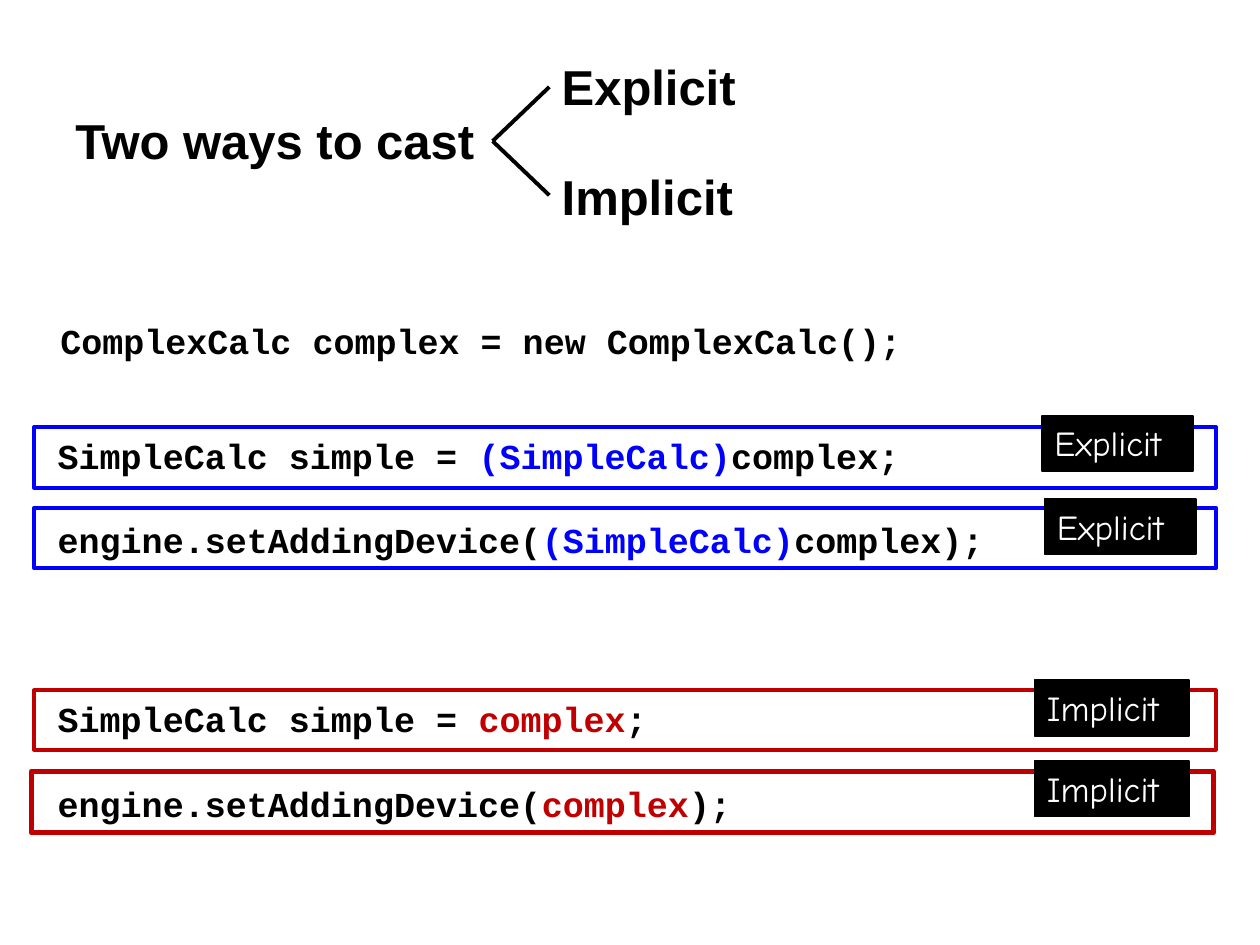
import dataclasses

import pptx
import pptx.dml.color
import pptx.enum.shapes
import pptx.enum.text
import pptx.oxml.ns
import pptx.util
from lxml import etree


@dataclasses.dataclass(frozen=True)
class Theme:
    ink: str = "000000"
    paper: str = "FFFFFF"
    explicit: str = "0000FF"
    implicit: str = "C00000"
    heading_font: str = "Arial"
    code_font: str = "Courier New"
    tag_font: str = "Comic Neue"
    heading_size: int = 28
    body_size: int = 20
    line_width: float = 2.25
    code_gap: float = 24


THEME = Theme()
CELL = pptx.util.Inches(0.1)  # the slide is a grid of 100 columns and 75 rows


def grid(*cells):
    return [round(CELL * c) for c in cells]


def rgb(color):
    return pptx.dml.color.RGBColor.from_string(color)


def style(font, name, size, bold=False, color=None):
    font.name, font.size, font.bold = name, pptx.util.Pt(size), bold
    if color:
        font.color.rgb = rgb(color)


def add_heading(shapes, text, *box):
    tf = shapes.add_textbox(*grid(*box)).text_frame
    tf.word_wrap = False
    p = tf.paragraphs[0]
    p.text = text
    style(p.font, THEME.heading_font, THEME.heading_size, True, THEME.ink)


def add_code(shapes, lines, accent, *box):
    """Each line is a list of parts; every second part takes the accent colour."""
    tf = shapes.add_textbox(*grid(*box)).text_frame
    tf.word_wrap = True
    for i, parts in enumerate(lines):
        p = tf.add_paragraph() if i else tf.paragraphs[0]
        if i:
            p.space_before = pptx.util.Pt(THEME.code_gap)
        style(p.font, THEME.code_font, THEME.body_size, True)
        for j, part in enumerate(parts):
            r = p.add_run()
            r.text = part
            r.font.color.rgb = rgb(accent if j % 2 else THEME.ink)


def add_branch(shapes, *ends):
    c = shapes.add_connector(pptx.enum.shapes.MSO_CONNECTOR.STRAIGHT, *grid(*ends))
    c.line.color.rgb = rgb(THEME.ink)
    c.line.width = pptx.util.Pt(THEME.line_width)
    etree.SubElement(c._element.spPr, pptx.oxml.ns.qn("a:effectLst"))


def add_box(shapes, fill, line, width, *box):
    sp = shapes.add_shape(pptx.enum.shapes.MSO_SHAPE.RECTANGLE, *grid(*box))
    sp.shadow.inherit = False
    sp.fill.solid()
    sp.fill.fore_color.rgb = rgb(fill)
    sp.line.color.rgb = rgb(line)
    sp.line.width = pptx.util.Pt(width)
    return sp


def add_tag(shapes, text, *box):
    tf = add_box(shapes, THEME.ink, THEME.ink, 1, *box).text_frame
    tf.word_wrap = True
    tf.vertical_anchor = pptx.enum.text.MSO_ANCHOR.TOP
    p = tf.paragraphs[0]
    p.text = text
    p.alignment = pptx.enum.text.PP_ALIGN.LEFT
    style(p.font, THEME.tag_font, THEME.body_size, color=THEME.paper)


def add_example(s, name, accent, lines, code_top, frames, tags):
    """Group two framed code lines with a tag on each frame."""
    shapes = s.shapes.add_group_shape().shapes
    for width, *box in frames:
        add_box(shapes, THEME.paper, accent, width, *box)
    add_code(shapes, lines, accent, 3.6, code_top, 78.6, 11.1)
    for box in tags:
        add_tag(shapes, name, *box)


def main():
    prs = pptx.Presentation()
    prs.slide_width, prs.slide_height = grid(100, 75)
    s = prs.slides.add_slide(prs.slide_layouts[6])

    # Declaration
    add_code(s.shapes, [["ComplexCalc complex = new ComplexCalc();"]],
             THEME.ink, 3.8, 24.9, 80.1, 4.4)

    # Heading that branches into the two ways
    add_heading(s.shapes, "Two ways to cast", 5, 8.3, 34.1, 5.7)
    for name, top, tip in (("Explicit", 4, 6.9), ("Implicit", 12.7, 15.5)):
        add_heading(s.shapes, name, 43.6, top, 16, 5.7)
        add_branch(s.shapes, 39.1, 11.2, 43.6, tip)

    # Implicit casts
    add_example(
        s, "Implicit", THEME.implicit,
        [["SimpleCalc simple = ", "complex", ";"],
         ["engine.setAddingDevice(", "complex", ");"]],
        54.9,
        [(3, 2.5, 61.2, 93.8, 4.9), (THEME.line_width, 2.7, 54.8, 93.8, 4.7)],
        [(82.1, top, 12.3, 4.4) for top in (54, 60.4)])

    # Explicit casts
    add_example(
        s, "Explicit", THEME.explicit,
        [["SimpleCalc simple = ", "(SimpleCalc)", "complex;"],
         ["engine.setAddingDevice(", "(SimpleCalc)", "complex);"]],
        34,
        [(THEME.line_width, 2.7, top, 93.8, 4.8) for top in (33.9, 40.3)],
        [(82.7, 33, 12, 4.4), (82.9, 39.6, 12, 4.4)])

    prs.save("out.pptx")


if __name__ == "__main__":
    main()
